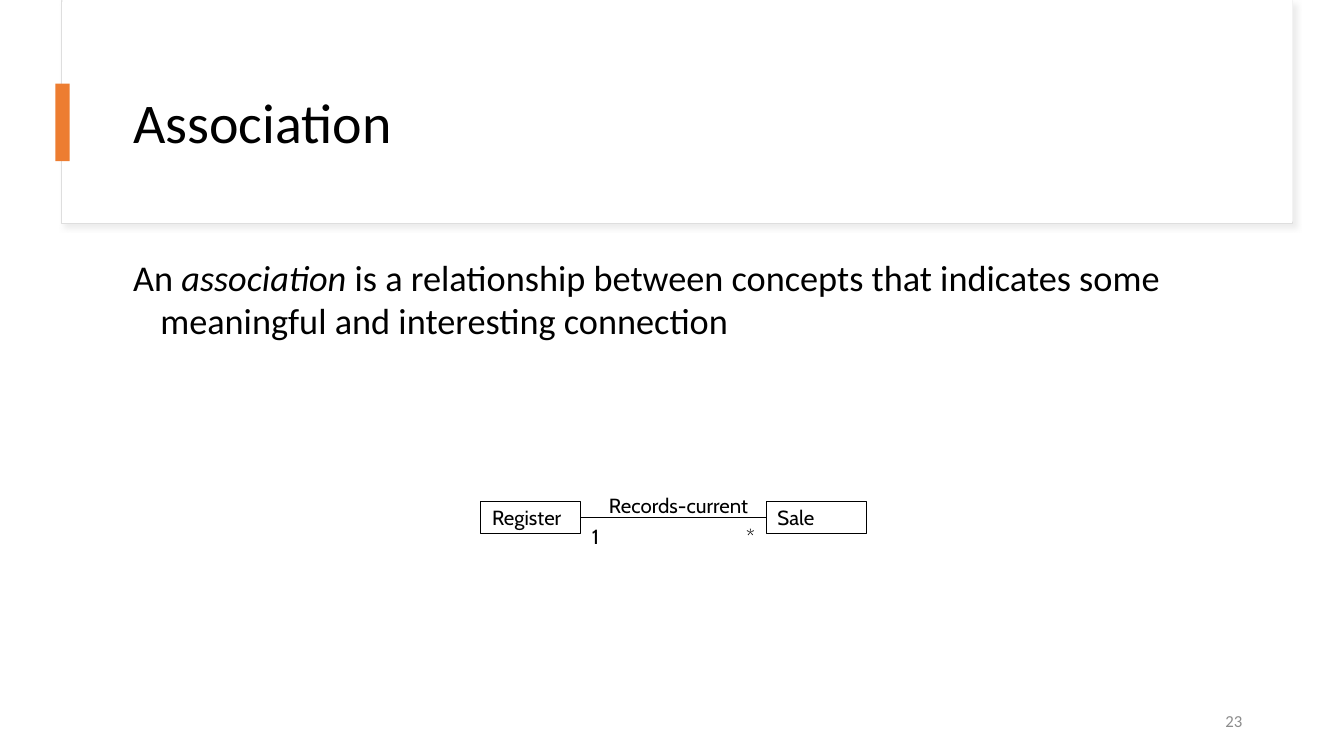
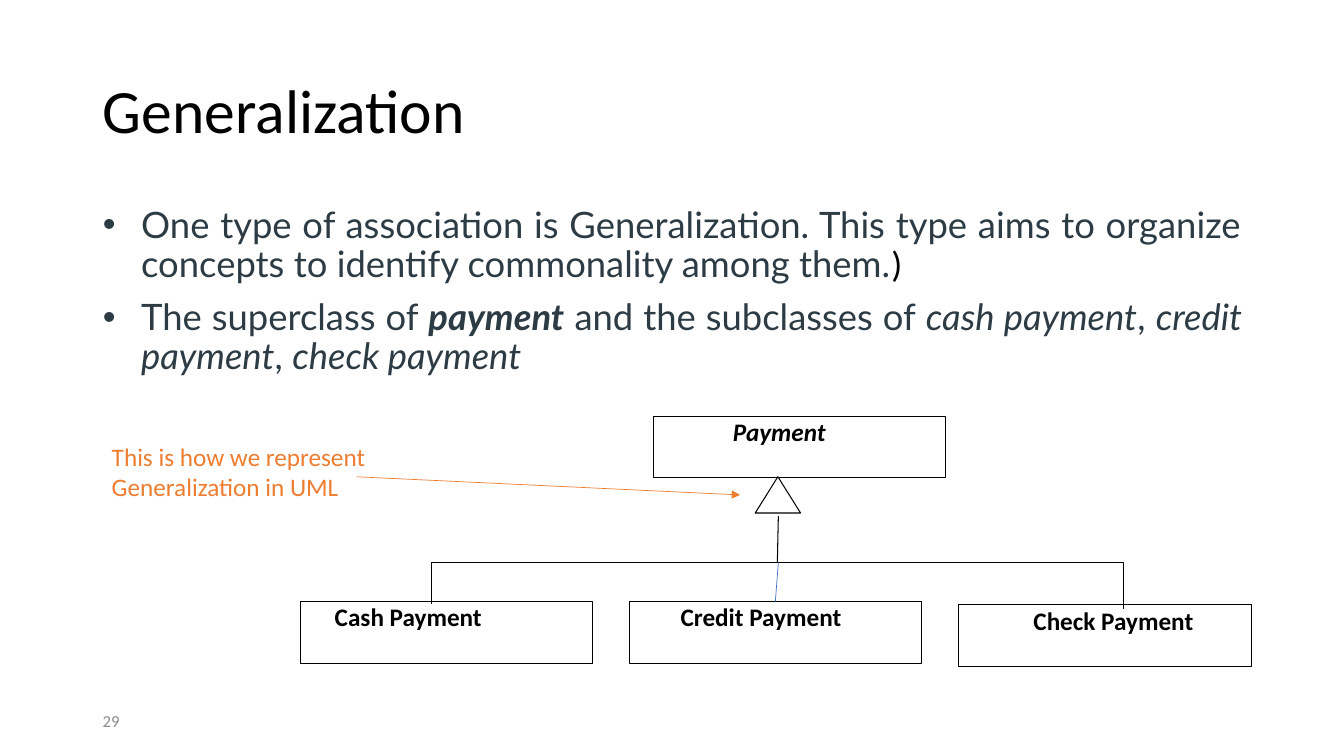
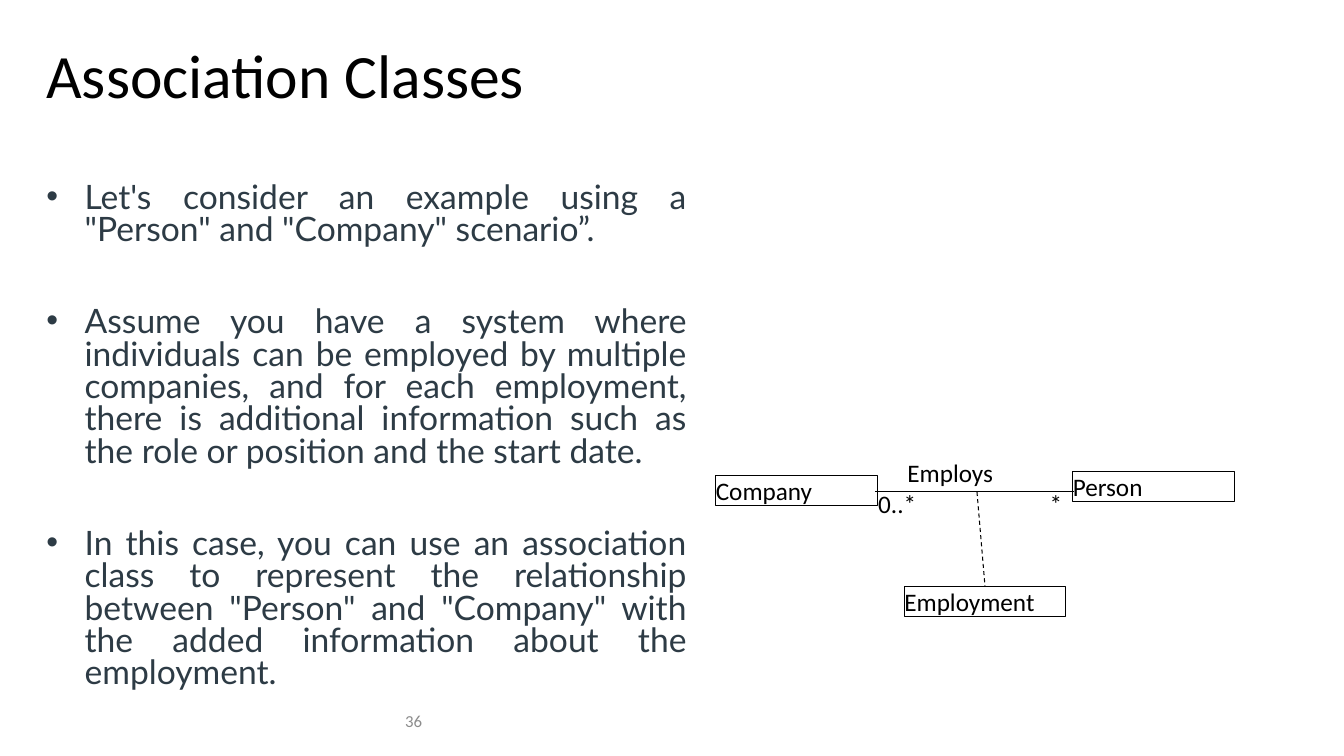
from dataclasses import dataclass
from lxml import etree
from pptx import Presentation
from pptx.dml.color import RGBColor
from pptx.enum import dml, shapes, text
from pptx.oxml.ns import qn
from pptx.util import Pt

PX = 9144


@dataclass(frozen=True)
class Theme:
    black: str = "000000"
    white: str = "FFFFFF"
    slate: str = "2D3B45"
    orange: str = "ED7D31"
    blue: str = "4472C4"
    gray: str = "8C8C8C"
    border: str = "DEDEDE"
    shadow: str = "D9D9D9"
    main_font: str = "Calibri"
    list_font: str = "Lato"
    diagram_font: str = "Cabin"
    title_size: float = 44
    small_title_size: float = 40
    intro_size: float = 25.9
    list_size: float = 26
    dense_list_size: float = 24
    label_size: float = 18
    diagram_size: float = 14.6
    number_size: float = 12
    line_width: float = 0.75
    thin_width: float = 0.5


THEME = Theme()
LEFT, RIGHT, JUSTIFY = text.PP_ALIGN.LEFT, text.PP_ALIGN.RIGHT, text.PP_ALIGN.JUSTIFY
TOP, MIDDLE = text.MSO_ANCHOR.TOP, text.MSO_ANCHOR.MIDDLE
RECTANGLE = shapes.MSO_SHAPE.RECTANGLE
BOLD, ITALIC = {"bold": True}, {"italic": True}
BOLD_ITALIC = {**BOLD, **ITALIC}
DEFAULT_INSETS, NO_INSETS, DIAGRAM_INSETS = (10, 5, 10, 5), (0, 0, 0, 0), (11, 6, 11, 6)

ASSOCIATION = {
    "title": ("Association", (122, 60, 1112, 129), THEME.small_title_size),
    "number": ("23", 942, RIGHT),
    "body": (122, 248, 1148, 388),
    "paragraphs": [[
        ("An ", {}), ("association", ITALIC),
        (" is a relationship between concepts that indicates some meaningful and interesting connection", {}),
    ]],
    "boxes": [("Register", 477), ("Sale", 760)],
    "labels": [
        ("1", (576, 514, 34, 36)),
        ("*", (729, 514, 34, 36)),
        ("Records-current", (593, 483, 166, 36)),
    ],
}

GENERALIZATION = {
    "title": ("Generalization", (92, 40, 1150, 145), THEME.title_size),
    "number": ("29", 92, LEFT),
    "body": (92, 200, 1150, 476),
    "paragraphs": [
        [
            ("One type of association is Generalization. This type aims to organize concepts "
             "to identify commonality among them.", {}),
            (")", {"name": THEME.main_font, "color": THEME.black}),
        ],
        [
            ("The superclass of ", {}), ("payment", BOLD_ITALIC),
            (" and the subclasses of ", {}), ("cash payment", ITALIC),
            (", ", {}), ("credit payment", ITALIC),
            (", ", {}), ("check payment", ITALIC),
        ],
    ],
    "boxes": [
        ("Payment", 648, 413, 79, BOLD_ITALIC),
        ("Cash Payment", 298, 597, 34, BOLD),
        ("Credit Payment", 624, 597, 51, BOLD),
        ("Check Payment", 951, 600, 74, BOLD),
    ],
    "triangle": (749, 473, 45, 36),
    "bracket": [(428, 599), (428, 558), (1114, 558), (1114, 604)],
    "note": ("This is how we represent Generalization in UML", (101, 433, 345, 71)),
}

ASSOCIATION_CLASSES = {
    "title": ("Association Classes", (36, 5, 1150, 145), THEME.title_size),
    "number": ("36", 392, LEFT),
    "body": (36, 177, 655, 518),
    "paragraphs": [
        [("Let's consider an example using a \"Person\" and \"Company\" scenario”.", {})],
        [("Assume you have a system where individuals can be employed by multiple companies, "
          "and for each employment, there is additional information such as the role or position "
          "and the start date.", {})],
        [("In this case, you can use an association class to represent the relationship between "
          "\"Person\" and \"Company\" with the added information about the employment.", {})],
    ],
    "boxes": [("Company", 710, 472), ("Person", 1064, 468), ("Employment", 897, 582)],
    "labels": [
        ("Employs", (900, 454, 100, 30)),
        ("0..*", (871, 484, 60, 30)),
        ("*", (1041, 484, 18, 30)),
    ],
}


def emu(lengths):
    return [length * PX for length in lengths]


def apply(target, values):
    for name, value in values.items():
        setattr(target, name, value)


def place(shape, box):
    apply(shape, dict(zip(("left", "top", "width", "height"), emu(box))))


def format_font(font, values):
    values = dict(values)
    font.color.rgb = RGBColor.from_string(values.pop("color"))
    values["size"] = Pt(values["size"])
    apply(font, values)


def write(shape, paragraphs, font, align=LEFT, anchor=TOP, insets=DEFAULT_INSETS,
          wrap=True, spacing=1.0, gap=0, indent=0, bullet=None):
    frame = shape.text_frame
    apply(frame, {"word_wrap": wrap, "auto_size": text.MSO_AUTO_SIZE.NONE, "vertical_anchor": anchor})
    apply(frame, dict(zip(("margin_left", "margin_top", "margin_right", "margin_bottom"), emu(insets))))
    for index, runs in enumerate(paragraphs):
        paragraph = frame.add_paragraph() if index else frame.paragraphs[0]
        properties = paragraph._p.get_or_add_pPr()
        properties.set("marL", str(indent * PX))
        properties.set("indent", str(-indent * PX))
        if bullet:
            etree.SubElement(properties, qn("a:buFont"), typeface="Arial")
            etree.SubElement(properties, qn("a:buChar"), char=bullet)
        else:
            etree.SubElement(properties, qn("a:buNone"))
        apply(paragraph, {"alignment": align, "line_spacing": spacing,
                          "space_before": Pt(gap if index else 0), "space_after": Pt(0)})
        for words, changes in runs:
            run = paragraph.add_run()
            run.text = words
            format_font(run.font, {**font, **changes})


def type_style(size, name=THEME.main_font, color=THEME.black):
    return {"size": size, "name": name, "color": color}


def paint(shape, fill=None, line=None):
    shape.shadow.inherit = False
    if fill:
        shape.fill.solid()
        shape.fill.fore_color.rgb = RGBColor.from_string(fill)
    else:
        shape.fill.background()
    if line:
        shape.line.color.rgb = RGBColor.from_string(line)
        shape.line.width = Pt(THEME.line_width)
    else:
        shape.line.fill.background()
    return shape


def add_box(slide, box, fill=None, line=THEME.black, kind=RECTANGLE):
    return paint(slide.shapes.add_shape(kind, *emu(box)), fill, line)


def add_label(slide, words, box, font, **options):
    write(slide.shapes.add_textbox(*emu(box)), [[(words, {})]], font, **options)


def add_line(slide, start, end, color=THEME.black, width=THEME.line_width,
             dash=None, arrow=False, begin=None, finish=None):
    line = slide.shapes.add_connector(shapes.MSO_CONNECTOR.STRAIGHT, *emu(start + end))
    line.line.color.rgb = RGBColor.from_string(color)
    line.line.width = Pt(width)
    if dash:
        line.line.dash_style = dash
    if arrow:
        etree.SubElement(line.line._get_or_add_ln(), qn("a:tailEnd"), type="triangle")
    etree.SubElement(line._element.spPr, qn("a:effectLst"))
    if begin:
        line.begin_connect(*begin)
    if finish:
        line.end_connect(*finish)


def start_slide(presentation, content, body_font, **body_options):
    slide = presentation.slides.add_slide(presentation.slide_layouts[1])
    words, box, size = content["title"]
    title, body = slide.shapes.title, slide.placeholders[1]
    place(title, box)
    write(title, [[(words, {})]], type_style(size), anchor=MIDDLE, spacing=0.9)
    place(body, content["body"])
    write(body, content["paragraphs"], body_font, **body_options)
    number, left, align = content["number"]
    add_label(slide, number, (left, 695, 300, 40),
              type_style(THEME.number_size, color=THEME.gray), align=align, anchor=MIDDLE)
    return slide


def add_title_panel(slide):
    panel = add_box(slide, (61, 1, 1221, 221), THEME.white, THEME.border)
    effects = panel._element.spPr.find(qn("a:effectLst"))
    shadow = etree.SubElement(effects, qn("a:outerShdw"), blurRad=str(Pt(4)), dist=str(Pt(3)),
                              dir="2700000", algn="tl", rotWithShape="0")
    color = etree.SubElement(shadow, qn("a:srgbClr"), val=THEME.shadow)
    etree.SubElement(color, qn("a:alpha"), val="50000")
    cover = add_box(slide, (62, 0, 1220, 220), THEME.white, None)
    for shape in (panel, cover):
        slide.shapes.title._element.addprevious(shape._element)
    add_box(slide, (55, 83, 14, 77), THEME.orange, None)


def build_association(presentation):
    content = ASSOCIATION
    slide = start_slide(presentation, content, type_style(THEME.intro_size), indent=27)
    add_title_panel(slide)
    font = type_style(THEME.diagram_size, THEME.diagram_font)
    options = {"insets": DIAGRAM_INSETS, "wrap": False}
    boxes = []
    for words, left in content["boxes"]:
        box = add_box(slide, (left, 498, 99, 31))
        write(box, [[(words, {})]], font, anchor=MIDDLE, **options)
        boxes.append(box)
    register, sale = boxes
    add_line(slide, (576, 514), (760, 514), begin=(register, 3), finish=(sale, 1))
    for words, box in content["labels"]:
        add_label(slide, words, box, font, **options)


def build_generalization(presentation):
    content = GENERALIZATION
    slide = start_slide(presentation, content,
                        type_style(THEME.list_size, THEME.list_font, THEME.slate),
                        align=JUSTIFY, spacing=0.9, gap=10, indent=38, bullet="•")
    font = type_style(THEME.label_size)
    boxes = {}
    for words, left, top, inset, style in content["boxes"]:
        box = add_box(slide, (left, top, 290, 61))
        write(box, [[(words, style)]], font, insets=(inset, 0, 0, 0))
        boxes[words] = box
    add_box(slide, content["triangle"], kind=shapes.MSO_SHAPE.ISOSCELES_TRIANGLE)
    add_line(slide, (772, 512), (771, 558))
    first, *others = [emu(point) for point in content["bracket"]]
    builder = slide.shapes.build_freeform(*first)
    builder.add_line_segments(others, close=False)
    paint(builder.convert_to_shape(), line=THEME.black)
    add_line(slide, (772, 558), (769, 597), THEME.blue, THEME.thin_width,
             finish=(boxes["Credit Payment"], 0))
    add_line(slide, (354, 473), (734, 491), THEME.orange, THEME.thin_width, arrow=True)
    add_label(slide, *content["note"], type_style(THEME.label_size, color=THEME.orange))


def build_association_classes(presentation):
    content = ASSOCIATION_CLASSES
    slide = start_slide(presentation, content,
                        type_style(THEME.dense_list_size, THEME.list_font, THEME.slate),
                        align=JUSTIFY, spacing=0.8, gap=43, indent=38, bullet="•")
    font = type_style(THEME.label_size)
    boxes = {}
    for words, left, top in content["boxes"]:
        box = add_box(slide, (left, top, 160, 30))
        write(box, [[(words, {})]], font, insets=NO_INSETS)
        boxes[words] = box
    add_line(slide, (868, 488), (1065, 488))
    add_line(slide, (969, 488), (974, 581), dash=dml.MSO_LINE.DASH, finish=(boxes["Employment"], 0))
    for words, box in content["labels"]:
        add_label(slide, words, box, font, insets=NO_INSETS)


def main():
    presentation = Presentation()
    apply(presentation, dict(zip(("slide_width", "slide_height"), emu((1333, 750)))))
    for build in (build_association, build_generalization, build_association_classes):
        build(presentation)
    presentation.save("out.pptx")


if __name__ == "__main__":
    main()
